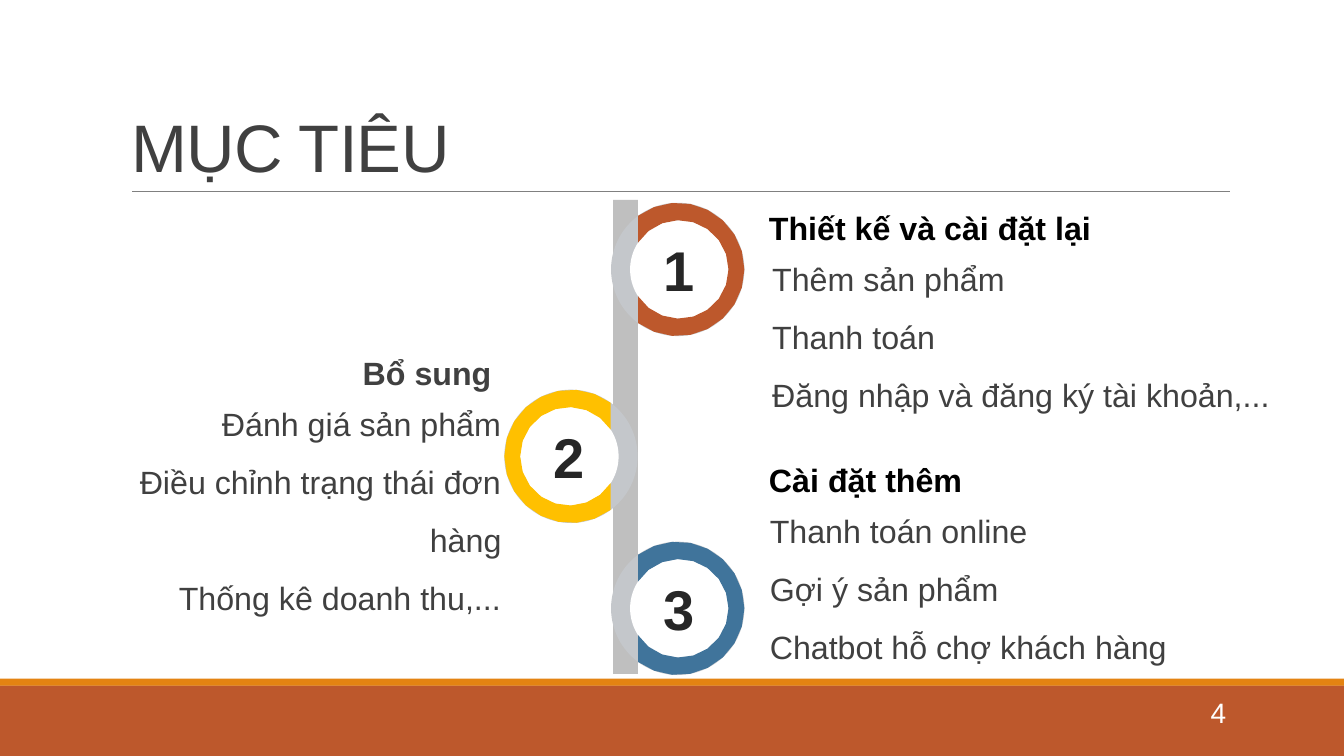
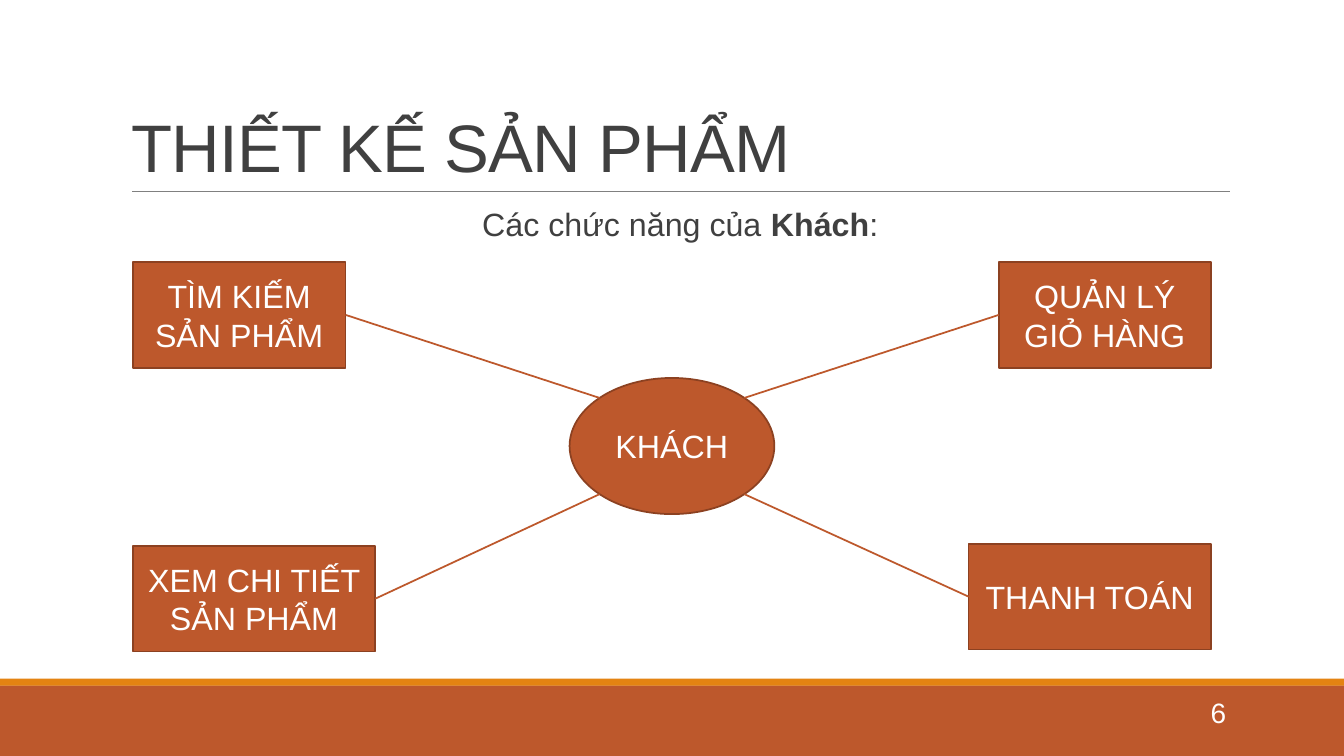
import math

import pptx
import pptx.dml.color
import pptx.enum.shapes
import pptx.enum.text
import pptx.oxml
import pptx.oxml.ns
import pptx.util

Cm = pptx.util.Cm
Pt = pptx.util.Pt
SHAPE = pptx.enum.shapes.MSO_SHAPE
ALIGN = pptx.enum.text.PP_ALIGN
ANCHOR = pptx.enum.text.MSO_ANCHOR

FONT = "Arial"
RUST = "BD582C"
RUST_DARK = "8C4121"
ORANGE = "E48312"
YELLOW = "FFC000"
BLUE = "40749B"
INK = "404040"
NUMERAL = "262626"
GREY_RULE = "808080"
GREY_BAR = "BFBFBF"
GREY_RING = "C4C7CB"
WHITE = "FFFFFF"
BLACK = "000000"

SLIDE_W, SLIDE_H = 33.87, 19.05
TEXT_SIZE = 23
OUTER_R, INNER_R = 1.68, 1.24
RING_CUT, HOLE_SHIFT = 1.0, 0.04

TOPICS = [
    ("1", RUST, 1, 6.79, 5.12, 19.46, BLACK, "Thiết kế và cài đặt lại",
     ["Thêm sản phẩm", "Thanh toán", "Đăng nhập và đăng ký tài khoản,..."]),
    ("2", YELLOW, -1, 11.5, 8.77, 2.0, INK, "Bổ sung",
     ["Đánh giá sản phẩm", "Điều chỉnh trạng thái đơn hàng", "Thống kê doanh thu,..."]),
    ("3", BLUE, 1, 15.33, 11.48, 19.4, BLACK, "Cài đặt thêm",
     ["Thanh toán online", "Gợi ý sản phẩm", "Chatbot hỗ chợ khách hàng"]),
]

FUNCTIONS = [
    ("TÌM KIẾM SẢN PHẨM", 3.35, 6.6, 5.36),
    ("XEM CHI TIẾT SẢN PHẨM", 3.35, 13.75, 6.11),
    ("THANH TOÁN", 24.41, 13.7, 6.11),
    ("QUẢN LÝ GIỎ HÀNG", 25.17, 6.6, 5.35),
]


def rgb(code):
    return pptx.dml.color.RGBColor.from_string(code)


def place(shape, left, top, width, height):
    shape.left, shape.top = Cm(left), Cm(top)
    shape.width, shape.height = Cm(width), Cm(height)


def add_run(paragraph, text, size, color, bold=False):
    run = paragraph.add_run()
    run.text = text
    run.font.name = FONT
    run.font.size = Pt(size)
    run.font.bold = bold
    run.font.color.rgb = rgb(color)
    return run


def paint(shape, fill, line=None):
    shape.shadow.inherit = False
    shape.fill.solid()
    shape.fill.fore_color.rgb = rgb(fill)
    if line:
        shape.line.color.rgb = rgb(line)
        shape.line.width = Pt(1.25)
    else:
        shape.line.fill.background()


def add_block(canvas, kind, box, fill, line=None):
    block = canvas.shapes.add_shape(kind, *map(Cm, box))
    paint(block, fill, line)
    return block


def add_label(shape, text, size, color, bold=False):
    frame = shape.text_frame
    frame.word_wrap = True
    frame.vertical_anchor = ANCHOR.MIDDLE
    frame.paragraphs[0].alignment = ALIGN.CENTER
    add_run(frame.paragraphs[0], text, size, color, bold)


def add_text(canvas, box, lines, size, color, align, bold=False, spacing=1.0, inset=True):
    frame = canvas.shapes.add_textbox(*map(Cm, box)).text_frame
    frame.word_wrap = True
    if not inset:
        frame.margin_left = frame.margin_right = 0
        frame.margin_top = frame.margin_bottom = 0
    for index, line in enumerate(lines):
        paragraph = frame.add_paragraph() if index else frame.paragraphs[0]
        paragraph.alignment = align
        paragraph.line_spacing = spacing
        add_run(paragraph, line, size, color, bold)
    return frame


def add_line(canvas, start, end, color, width):
    line = canvas.shapes.add_connector(
        pptx.enum.shapes.MSO_CONNECTOR.STRAIGHT, *map(Cm, start + end))
    line.line.color.rgb = rgb(color)
    line.line.width = Pt(width)
    line._element.spPr.append(pptx.oxml.parse_xml(
        "<a:effectLst %s/>" % pptx.oxml.ns.nsdecls("a")))
    return line


def dress_master(deck, slide):
    bands = [
        add_block(slide, SHAPE.RECTANGLE, (0, 17.27, SLIDE_W, 1.78), RUST),
        add_block(slide, SHAPE.RECTANGLE, (0, 17.1, SLIDE_W, 0.18), ORANGE),
        add_line(slide, (3.33, 4.83), (31.0, 4.83), GREY_RULE, 0.5),
    ]
    for band in bands:
        deck.slide_master.shapes._spTree.append(band._element)


def add_page(deck, layout, heading, number):
    slide = deck.slides.add_slide(deck.slide_layouts[layout])
    title = slide.shapes.title
    place(title, 3.05, 0.79, 27.94, 4.04)
    frame = title.text_frame
    frame.auto_size = pptx.enum.text.MSO_AUTO_SIZE.NONE
    frame.vertical_anchor = ANCHOR.BOTTOM
    paragraph = frame.paragraphs[0]
    paragraph.alignment = ALIGN.LEFT
    paragraph.line_spacing = 0.85
    run = add_run(paragraph, heading, 48, INK)
    run._r.get_or_add_rPr().set("spc", "-50")

    page_number = add_text(slide, (27.52, 17.45, 3.63, 1.02), [number], 20, WHITE, ALIGN.RIGHT)
    page_number.vertical_anchor = ANCHOR.MIDDLE
    return slide


def arc(x, y, radius, cut, side, steps=16):
    limit = math.acos(-cut / radius)
    angles = [limit * (2 * step / steps - 1) for step in range(steps + 1)]
    return [(Cm(x + side * radius * math.cos(a)), Cm(y + radius * math.sin(a)))
            for a in angles]


def add_ring(slide, x, y, side, color, number):
    ring = slide.shapes.add_group_shape()
    hole_x = x + side * HOLE_SHIFT
    add_block(ring, SHAPE.OVAL, (x - OUTER_R, y - OUTER_R, 2 * OUTER_R, 2 * OUTER_R), GREY_RING)
    hole = add_block(ring, SHAPE.OVAL,
                     (hole_x - INNER_R, y - INNER_R, 2 * INNER_R, 2 * INNER_R), WHITE)
    add_label(hole, number, 40, NUMERAL, True)

    outline = arc(x, y, OUTER_R, RING_CUT, side)
    outline += reversed(arc(hole_x, y, INNER_R, RING_CUT + HOLE_SHIFT, side))
    builder = ring.shapes.build_freeform(*outline[0])
    builder.add_line_segments(outline[1:], close=True)
    paint(builder.convert_to_shape(), color)


def add_topic(slide, number, color, side, ring_y, top, list_x, heading_color, heading, items):
    if side > 0:
        ring_x, heading_x, width, align = 17.08, 19.13, 12.7, ALIGN.LEFT
    else:
        ring_x, heading_x, width, align = 14.39, list_x, 10.64, ALIGN.RIGHT
    entry = slide.shapes.add_group_shape()
    add_text(entry, (list_x, top + 0.93, width, 2.21), items, TEXT_SIZE, INK, align,
             spacing=1.5, inset=False)
    add_text(entry, (heading_x, top, width, 0.94), [heading], TEXT_SIZE, heading_color,
             align, bold=True)
    add_ring(slide, ring_x, ring_y, side, color, number)


def add_intro(slide, parts):
    body = slide.placeholders[1]
    place(body, 3.05, 5.13, 27.94, 11.18)
    frame = body.text_frame
    frame.margin_left = frame.margin_right = 0
    paragraph = frame.paragraphs[0]
    paragraph.alignment = ALIGN.CENTER
    paragraph.line_spacing = 0.9
    paragraph.space_before, paragraph.space_after = Pt(12), Pt(2)
    for text, bold in parts:
        add_run(paragraph, text, TEXT_SIZE, INK, bold)
    properties = paragraph._p.get_or_add_pPr()
    properties.set("marL", str(Cm(0.25)))
    properties.set("indent", str(Cm(-0.25)))
    properties.append(pptx.oxml.parse_xml(
        '<a:buChar %s char=" "/>' % pptx.oxml.ns.nsdecls("a")))


def add_function_map(slide, actor, functions):
    center_x, center_y, width, height = SLIDE_W / 2, 11.24, 5.16, 3.43
    hub = add_block(slide, SHAPE.OVAL,
                    (center_x - width / 2, center_y - height / 2, width, height),
                    RUST, RUST_DARK)
    add_label(hub, actor, TEXT_SIZE, WHITE)
    reach_x = width / 2 * math.cos(math.pi / 4)
    reach_y = height / 2 * math.sin(math.pi / 4)
    box_h = 2.67
    for text, left, top, box_w in functions:
        box = add_block(slide, SHAPE.RECTANGLE, (left, top, box_w, box_h), RUST, RUST_DARK)
        add_label(box, text, TEXT_SIZE, WHITE)
        on_left = left < center_x
        start = (left + box_w if on_left else left, top + box_h / 2)
        end = (center_x + (-reach_x if on_left else reach_x),
               center_y + (-reach_y if top < center_y else reach_y))
        link = add_line(slide, start, end, RUST, 1.25)
        link.begin_connect(box, 3 if on_left else 1)


def main():
    deck = pptx.Presentation()
    deck.slide_width, deck.slide_height = Cm(SLIDE_W), Cm(SLIDE_H)

    goals = add_page(deck, 5, "MỤC TIÊU", "4")
    dress_master(deck, goals)
    add_block(goals, SHAPE.RECTANGLE, (15.45, 5.04, 0.63, 11.94), GREY_BAR)
    for topic in TOPICS:
        add_topic(goals, *topic)

    design = add_page(deck, 1, "THIẾT KẾ SẢN PHẨM", "6")
    add_intro(design, [("Các chức năng của ", False), ("Khách", True), (":", False)])
    add_function_map(design, "KHÁCH", FUNCTIONS)

    deck.save("out.pptx")


if __name__ == "__main__":
    main()
